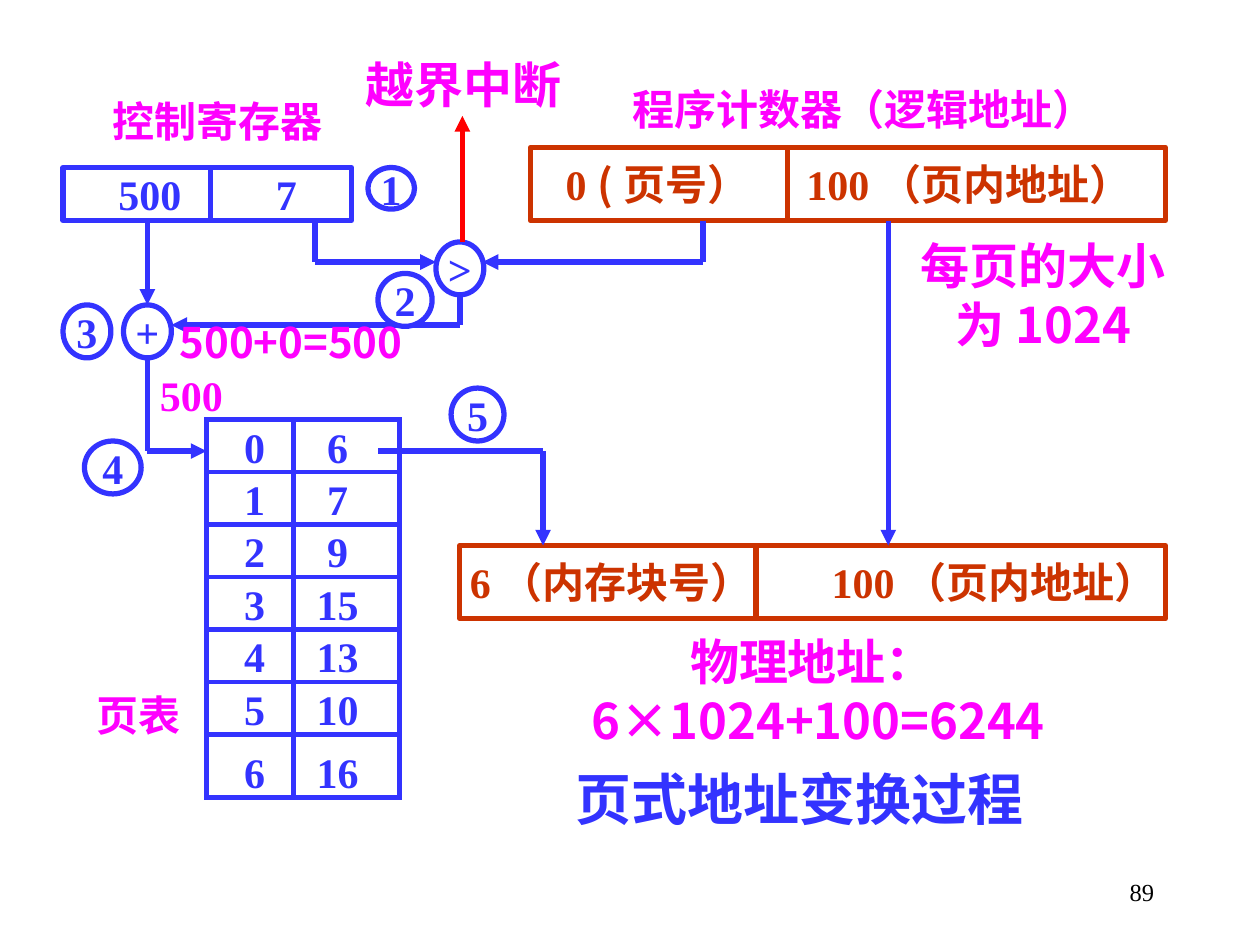
from dataclasses import dataclass

from lxml import etree
from pptx import Presentation
from pptx import util as u
from pptx.dml.color import RGBColor
from pptx.enum import shapes, text
from pptx.oxml import ns

Inches = u.Inches
CENTER = text.PP_ALIGN.CENTER
LEFT = text.PP_ALIGN.LEFT
RIGHT = text.PP_ALIGN.RIGHT


@dataclass(frozen=True)
class Theme:
    blue: str = "3333FF"
    brown: str = "CC3300"
    magenta: str = "FF00FF"
    red: str = "FF0000"
    black: str = "000000"
    white: str = "FFFFFF"
    serif: str = "Times New Roman"
    sans: str = "Noto Sans CJK SC"
    title: int = 32
    label: int = 28
    body: int = 24
    number: int = 14
    stroke: int = 3


THEME = Theme()


def rgb(color):
    return RGBColor.from_string(color)


def child(parent, tag, **attributes):
    return etree.SubElement(parent, ns.qn(tag), attributes)


def add_run(paragraph, words, color, size=THEME.body, font=THEME.serif, bold=True):
    run = paragraph.add_run()
    run.text = words
    run.font.size = u.Pt(size)
    run.font.bold = bold
    run.font.color.rgb = rgb(color)
    run.font.name = font
    child(run.font._element, "a:ea", typeface=THEME.sans)


def write(shape, lines, color, size=THEME.body, font=THEME.serif, align=CENTER,
          middle=True, bold=True, inset=0.02, tab=None):
    frame = shape.text_frame
    frame.word_wrap = align != CENTER
    anchors = text.MSO_ANCHOR
    frame.vertical_anchor = anchors.MIDDLE if middle else anchors.TOP
    frame.margin_left = Inches(inset)
    frame.margin_right = Inches(0.02)
    frame.margin_top = frame.margin_bottom = Inches(0.01)
    for index, runs in enumerate(lines):
        paragraph = frame.add_paragraph() if index else frame.paragraphs[0]
        paragraph.alignment = align
        if tab:
            tabs = child(paragraph._p.get_or_add_pPr(), "a:tabLst")
            child(tabs, "a:tab", pos=str(Inches(tab)), algn="l")
        for words, run_font in runs:
            add_run(paragraph, words, color, size, run_font or font, bold)


def add_label(slide, box, lines, color=THEME.magenta, **style):
    shape = slide.shapes.add_textbox(*map(Inches, box))
    write(shape, [[(line, None)] for line in lines], color, **style)


def add_outline(slide, kind, box, color):
    shape = slide.shapes.add_shape(kind, *map(Inches, box))
    shape.shadow.inherit = False
    shape.fill.solid()
    shape.fill.fore_color.rgb = rgb(THEME.white)
    shape.line.color.rgb = rgb(color)
    shape.line.width = u.Pt(THEME.stroke)
    return shape


def add_register(slide, box, color, divider, runs, inset, tab):
    shape = add_outline(slide, shapes.MSO_SHAPE.RECTANGLE, box, color)
    write(shape, [runs], color, align=LEFT, inset=inset, tab=tab)
    top, bottom = box[1], box[1] + box[3]
    add_route(slide, [(divider, top), (divider, bottom)], color, arrow=False)


def add_circle(slide, words, box):
    shape = add_outline(slide, shapes.MSO_SHAPE.OVAL, box, THEME.blue)
    write(shape, [[(words, None)]], THEME.blue)


def add_route(slide, points, color=THEME.blue, arrow=True):
    for start, end in zip(points, points[1:]):
        connector = slide.shapes.add_connector(
            shapes.MSO_CONNECTOR.STRAIGHT, *map(Inches, start + end))
        connector.line.color.rgb = rgb(color)
        connector.line.width = u.Pt(THEME.stroke)
        if arrow and end == points[-1]:
            child(connector.line._get_or_add_ln(), "a:tailEnd", type="triangle")
        child(connector._element.spPr, "a:effectLst")


def add_borders(cell, color):
    properties = cell._tc.get_or_add_tcPr()
    for index, side in enumerate(("a:lnL", "a:lnR", "a:lnT", "a:lnB")):
        border = etree.Element(ns.qn(side), w=str(u.Pt(THEME.stroke)))
        child(child(border, "a:solidFill"), "a:srgbClr", val=color)
        properties.insert(index, border)


def add_page_table(slide, box, widths, blocks):
    frame = slide.shapes.add_table(len(blocks), 2, *map(Inches, box))
    table = frame.table
    table.first_row = table.horz_banding = False
    for column, width in zip(table.columns, widths):
        column.width = Inches(width)
    row_height = 2.5 / 6
    for index, (row, block) in enumerate(zip(table.rows, blocks)):
        last = index == len(blocks) - 1
        row.height = Inches(box[3] - row_height * index if last else row_height)
        for cell, number, margins in zip(
                row.cells, (index, block), ((0.07, 0), (0, 0.14))):
            cell.fill.solid()
            cell.fill.fore_color.rgb = rgb(THEME.white)
            cell.margin_left, cell.margin_right = map(Inches, margins)
            cell.margin_top = cell.margin_bottom = 0
            cell.vertical_anchor = text.MSO_ANCHOR.BOTTOM
            paragraph = cell.text_frame.paragraphs[0]
            paragraph.alignment = CENTER
            add_run(paragraph, str(number), THEME.blue)
            add_borders(cell, THEME.blue)


def main():
    presentation = Presentation()
    presentation.slide_width, presentation.slide_height = Inches(10), Inches(7.5)
    slide = presentation.slides.add_slide(presentation.slide_layouts[6])

    add_label(slide, (7.17, 6.83, 2.01, 0.5), ["89"], THEME.black,
              size=THEME.number, align=RIGHT, bold=False)
    add_label(slide, (0.35, 5.42, 1.5, 0.5), ["页表"])
    add_label(slide, (3.67, 5.92, 5.35, 0.83), ["页式地址变换过程"], THEME.blue,
              size=THEME.title)
    add_label(slide, (0.43, 0.75, 2.6, 0.42), ["控制寄存器"])
    add_label(slide, (5, 0.57, 4.17, 0.58), ["程序计数器（逻辑地址）"], align=LEFT)

    add_register(slide, (0.5, 1.33, 2.29, 0.42), THEME.blue, 1.67,
                 [("500\t7", None)], inset=0.44, tab=1.25)
    add_register(slide, (4.21, 1.17, 5.04, 0.58), THEME.brown, 6.25,
                 [("0 ", None), ("(", THEME.sans), ("页号）\t100（页内地址）", None)],
                 inset=0.28, tab=1.91)
    add_register(slide, (3.65, 4.33, 5.6, 0.58), THEME.brown, 6,
                 [("6", None), ("（", THEME.sans), ("内存块号）\t100（页内地址）", None)],
                 inset=0.08, tab=2.87)
    add_page_table(slide, (1.64, 3.33, 1.53, 3), (0.69, 0.84),
                   (6, 7, 9, 15, 13, 10, 16))

    for route in (
        [(2.5, 1.75), (2.5, 2.08), (3.46, 2.08)],
        [(5.58, 1.75), (5.58, 2.08), (3.83, 2.08)],
        [(1.17, 1.75), (1.17, 2.42)],
        [(3.65, 2.33), (3.65, 2.58), (1.36, 2.58)],
        [(1.17, 2.83), (1.17, 3.58), (1.64, 3.58)],
        [(3, 3.58), (4.31, 3.58), (4.31, 4.33)],
        [(7.05, 1.75), (7.05, 4.33)],
    ):
        add_route(slide, route)

    for words, box in (
        (">", (3.46, 1.92, 0.38, 0.42)),
        ("+", (0.98, 2.42, 0.38, 0.42)),
        ("1", (2.92, 1.33, 0.37, 0.33)),
        ("2", (3, 2.17, 0.43, 0.42)),
        ("3", (0.5, 2.42, 0.38, 0.42)),
        ("4", (0.67, 3.5, 0.45, 0.42)),
        ("5", (3.58, 3.08, 0.42, 0.42)),
    ):
        add_circle(slide, words, box)

    add_label(slide, (1.25, 2.92, 0.54, 0.42), ["500"], middle=False)
    add_label(slide, (7.13, 1.86, 2.3, 0.96), ["每页的大小", "为1024"],
              size=THEME.label, font=THEME.sans, middle=False)
    address = slide.shapes.add_textbox(*map(Inches, (3.66, 5, 5.67, 0.49)))
    write(address, [[("物理地址：", None), ("6×1024+100=6244", THEME.sans)]],
          THEME.magenta, size=THEME.label, middle=False)
    add_label(slide, (1.35, 2.5, 1.92, 0.42), ["500+0=500"],
              font=THEME.sans, middle=False)
    add_route(slide, [(3.67, 1.92), (3.67, 0.92)], THEME.red)
    add_label(slide, (2.75, 0.42, 1.86, 0.49), ["越界中断"],
              size=THEME.label, middle=False)

    presentation.save("out.pptx")


if __name__ == "__main__":
    main()
